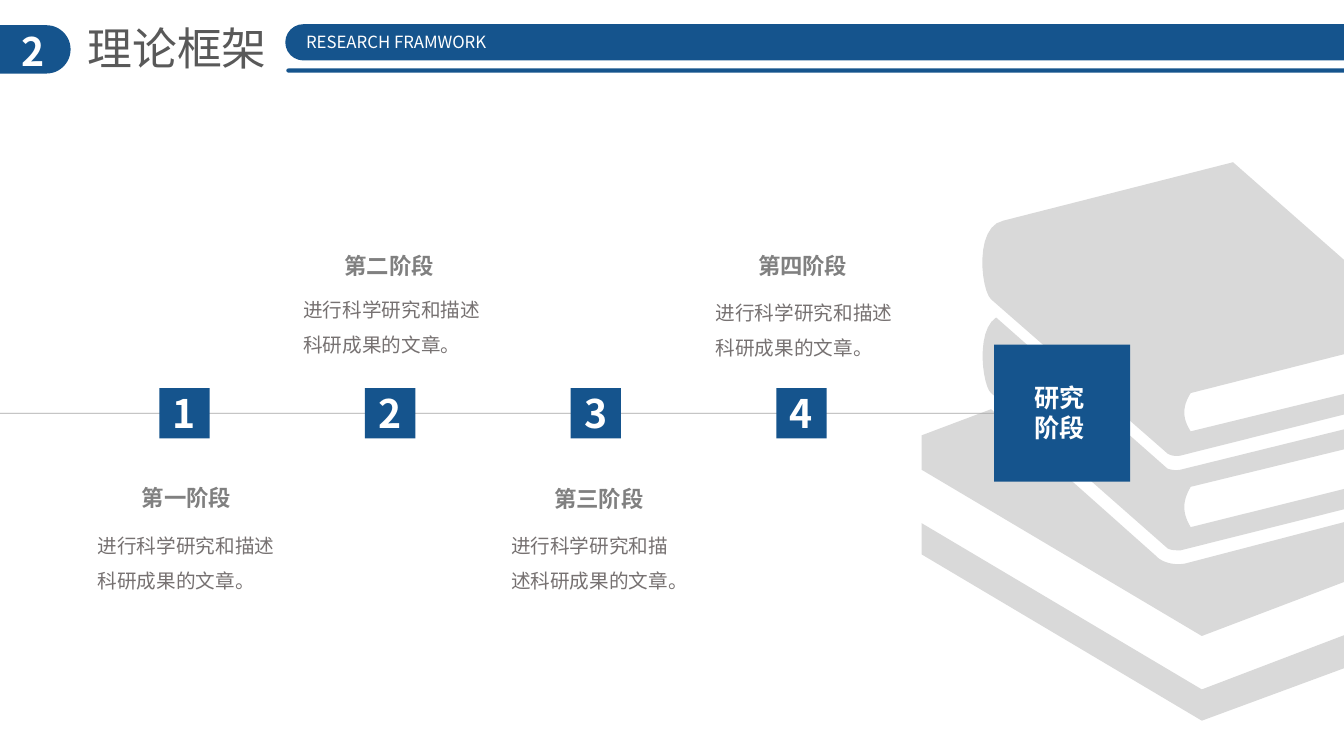
from lxml.etree import SubElement
from pptx import Presentation
from pptx.dml.color import RGBColor
from pptx.enum.shapes import MSO_CONNECTOR, MSO_SHAPE
from pptx.enum.text import MSO_AUTO_SIZE, PP_ALIGN
from pptx.oxml.ns import qn
from pptx.util import Inches, Pt

FONT = "Noto Sans CJK SC"
THEME = {
    "blue": RGBColor(0x15, 0x54, 0x8D),
    "books": RGBColor(0xD9, 0xD9, 0xD9),
    "axis": RGBColor(0xA6, 0xA6, 0xA6),
    "number": {"size": Pt(28), "bold": True, "color": RGBColor(0xFF, 0xFF, 0xFF)},
    "title": {"size": Pt(32), "bold": False, "color": RGBColor(0x59, 0x59, 0x59)},
    "stage": {"size": Pt(16), "bold": True, "color": RGBColor(0x80, 0x80, 0x80)},
    "body": {"size": Pt(14), "bold": False, "color": RGBColor(0x76, 0x71, 0x71)},
    "goal": {"size": Pt(18), "bold": True, "color": RGBColor(0xFF, 0xFF, 0xFF)},
    "banner": {"size": Pt(12), "bold": False, "color": RGBColor(0xFF, 0xFF, 0xFF)},
}

deck = Presentation()
deck.slide_width, deck.slide_height = Inches(13.33), Inches(7.5)
slide = deck.slides.add_slide(deck.slide_layouts[6])


def add_block(geometry, *box):
    block = slide.shapes.add_shape(geometry, *map(Inches, box))
    block.shadow.inherit = False
    block.fill.solid()
    block.fill.fore_color.rgb = THEME["blue"]
    block.line.fill.background()
    if geometry == MSO_SHAPE.ROUNDED_RECTANGLE:
        block.adjustments[0] = 0.5
    return block


def add_label(text, style, box, wrap=True, align=PP_ALIGN.LEFT, spacing=None):
    frame = slide.shapes.add_textbox(*map(Inches, box)).text_frame
    frame.word_wrap = wrap
    frame.auto_size = MSO_AUTO_SIZE.SHAPE_TO_FIT_TEXT
    paragraph = frame.paragraphs[0]
    paragraph.alignment = align
    paragraph.line_spacing = spacing
    run = paragraph.add_run()
    run.text = text
    for key, value in THEME[style].items():
        if key == "color":
            run.font.color.rgb = value
        else:
            setattr(run.font, key, value)
    run.font.name = FONT
    SubElement(run.font._element, qn("a:ea"), typeface=FONT)


# Two numbers are a corner; six are the control points and end of a curve.
book_outlines = [
    [(13.98, 4.1), (13.98, 4.3), (11.81, 4.83), (11.72, 4.98, 11.73, 5.1, 11.81, 5.23),
     (13.98, 4.69), (13.98, 4.89), (11.71, 5.46), (11.66, 5.46, 11.61, 5.46, 11.58, 5.44),
     (9.83, 3.9), (9.75, 3.84, 9.67, 3.29, 9.88, 3.15), (11.58, 4.65),
     (11.61, 4.66, 11.66, 4.67, 11.71, 4.66)],
    [(9.95, 2.19), (12.23, 1.61), (13.98, 3.15), (13.98, 3.35), (11.81, 3.9),
     (11.72, 4.04, 11.73, 4.16, 11.81, 4.28), (13.98, 3.75), (13.98, 3.95), (11.71, 4.52),
     (11.66, 4.53, 11.61, 4.52, 11.58, 4.5), (9.83, 2.97),
     (9.73, 2.88, 9.66, 2.25, 9.95, 2.19)],
    [(11.92, 6.84), (9.14, 5.19), (9.14, 5.5), (11.92, 7.15), (13.52, 6.56), (13.52, 6.23)],
    [(14.33, 5.78), (13.66, 6.02), (13.66, 7.01), (13.99, 6.61), (14.33, 6.76),
     (14.33, 6.26), (14.62, 6.15), (14.76, 6.09, 14.81, 6.04, 14.81, 5.91), (14.81, 5.13),
     (14.81, 5.07, 14.78, 5.02, 14.73, 4.99), (14.1, 4.62), (14.1, 4.98), (11.76, 5.59),
     (11.66, 5.61, 11.53, 5.59, 11.46, 5.51), (9.83, 4.06), (9.14, 4.32), (9.14, 4.66),
     (11.92, 6.31), (14.5, 5.33), (14.5, 5.85), (14.33, 5.92)],
]
CURVE_STEPS = 12
book_builder = None
for outline in book_outlines:
    points = []
    for node in outline:
        if len(node) == 2:
            points.append(node)
            continue
        controls = [points[-1], node[:2], node[2:4], node[4:]]
        for step in range(1, CURVE_STEPS + 1):
            t = step / CURVE_STEPS
            weights = [(1 - t) ** 3, 3 * t * (1 - t) ** 2, 3 * t * t * (1 - t), t ** 3]
            points.append(tuple(
                sum(weight * control[axis] for weight, control in zip(weights, controls))
                for axis in (0, 1)))
    start, *rest = [(Inches(x), Inches(y)) for x, y in points]
    if book_builder is None:
        book_builder = slide.shapes.build_freeform(*start)
    else:
        book_builder.move_to(*start)
    book_builder.add_line_segments(rest, close=True)
books = book_builder.convert_to_shape()
books.shadow.inherit = False
books.fill.solid()
books.fill.fore_color.rgb = THEME["books"]
books.line.fill.background()

add_block(MSO_SHAPE.ROUNDED_RECTANGLE, -0.28, 0.25, 0.98, 0.48)
add_label("2", "number", (0.07, 0.22, 0.51, 0.57), align=PP_ALIGN.CENTER)
add_label("理论框架", "title", (0.77, 0.16, 2, 0.64), wrap=False)

timeline = slide.shapes.add_connector(
    MSO_CONNECTOR.STRAIGHT, Inches(-0.14), Inches(4.1), Inches(9.86), Inches(4.1))
timeline.line.color.rgb = THEME["axis"]
timeline.line.width = Pt(0.5)
SubElement(timeline._element.spPr, qn("a:effectLst"))

stages = [
    ("第一阶段", (1.31, 4.75), (0.87, 5.13, 1.99)),
    ("第二阶段", (3.32, 2.45), (2.91, 2.79, 2.04)),
    ("第三阶段", (5.4, 4.76), (4.97, 5.13, 1.95)),
    ("第四阶段", (7.42, 2.45), (7, 2.82, 2.07)),
]
for index, (stage, heading, body) in enumerate(stages):
    add_label(stage, "stage", (*heading, 1.1, 0.37), wrap=False)
    add_label("进行科学研究和描述科研成果的文章。", "body", (*body, 0.81), spacing=1.5)
    marker_left = 1.58 + 2.04 * index
    add_block(MSO_SHAPE.RECTANGLE, marker_left, 3.85, 0.5, 0.5)
    add_label(str(index + 1), "number", (marker_left - 0.1, 3.81, 0.7, 0.57),
              align=PP_ALIGN.CENTER)

goal = add_block(MSO_SHAPE.RECTANGLE, 9.86, 3.42, 1.35, 1.36)
timeline.end_connect(goal, 1)
add_label("研究阶段", "goal", (10.16, 3.74, 0.74, 0.71))

add_block(MSO_SHAPE.ROUNDED_RECTANGLE, 2.83, 0.24, 11.03, 0.36)
add_block(MSO_SHAPE.ROUNDED_RECTANGLE, 2.84, 0.68, 11.03, 0.04)
add_label("RESEARCH FRAMWORK", "banner", (2.87, 0.27, 2.12, 0.3), wrap=False,
          align=PP_ALIGN.CENTER)

deck.save("out.pptx")
